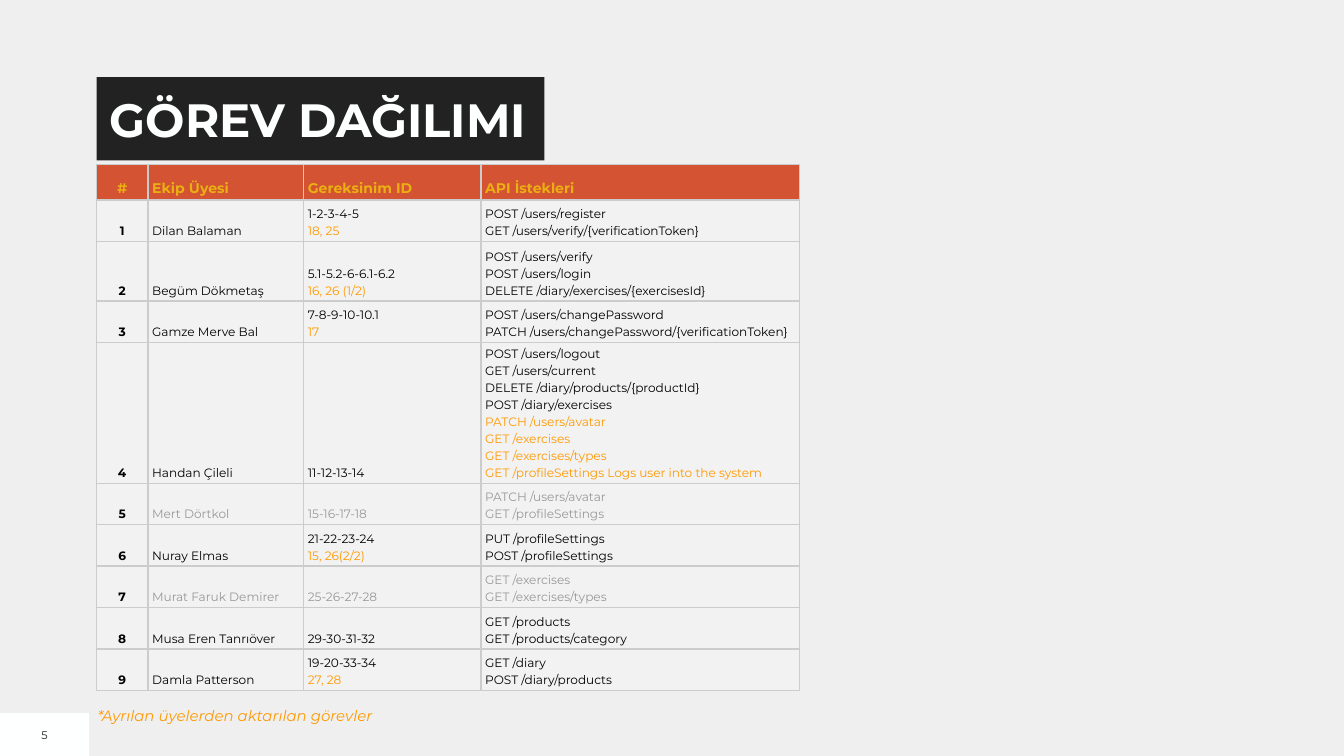
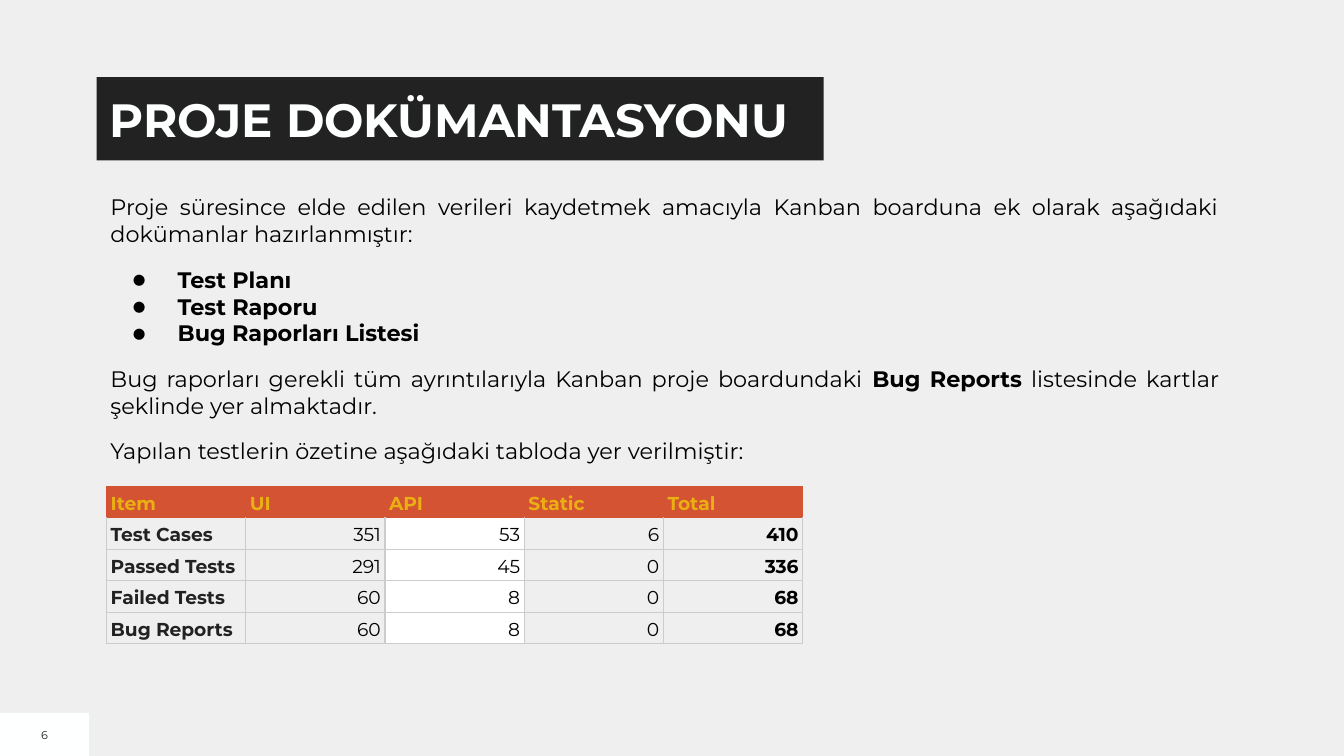
from lxml.etree import SubElement
from pptx import Presentation
from pptx.dml.color import RGBColor
from pptx.enum.shapes import MSO_SHAPE
from pptx.enum.text import MSO_ANCHOR, MSO_AUTO_SIZE, PP_ALIGN
from pptx.oxml.ns import qn
from pptx.util import Pt

FONT = "Montserrat"
PAGE = RGBColor(0xEF, 0xEF, 0xEF)
INK = RGBColor(0x22, 0x22, 0x22)
PAPER = RGBColor(0xFE, 0xFF, 0xFF)
WHITE = RGBColor(0xFF, 0xFF, 0xFF)
BLACK = RGBColor(0, 0, 0)
GRAY = RGBColor(0x99, 0x99, 0x99)
ORANGE = RGBColor(0xFF, 0x99, 0x00)
BRICK = RGBColor(0xD3, 0x53, 0x32)
GOLD = RGBColor(0xEA, 0xB0, 0x13)
CELL = RGBColor(0xF2, 0xF2, 0xF2)
GRID = RGBColor(0xCC, 0xCC, 0xCC)

TASK_HEADERS = ["#", "Ekip Üyesi", "Gereksinim ID", "API İstekleri"]
TASK_COLUMNS = [27.7, 83.4, 95, 170.6]
TASK_ROWS = [18.9, 22.2, 32, 22.2, 70.6] + [22.2] * 5
DEPARTED = {"Mert Dörtkol", "Murat Faruk Demirer"}
# name, own requirements, transferred requirements, own requests, transferred requests
TASKS = [
    ("Dilan Balaman", ["1-2-3-4-5"], ["18, 25"],
     ["POST /users/register", "GET /users/verify/{verificationToken}"], []),
    ("Begüm Dökmetaş", ["5.1-5.2-6-6.1-6.2"], ["16, 26 (1/2)"],
     ["POST /users/verify", "POST /users/login", "DELETE /diary/exercises/{exercisesId}"], []),
    ("Gamze Merve Bal", ["7-8-9-10-10.1"], ["17"],
     ["POST /users/changePassword", "PATCH /users/changePassword/{verificationToken}"], []),
    ("Handan Çileli", ["11-12-13-14"], [],
     ["POST /users/logout", "GET /users/current", "DELETE /diary/products/{productId}",
      "POST /diary/exercises"],
     ["PATCH /users/avatar", "GET /exercises", "GET /exercises/types",
      "GET /profileSettings Logs user into the system"]),
    ("Mert Dörtkol", ["15-16-17-18"], [], ["PATCH /users/avatar", "GET /profileSettings"], []),
    ("Nuray Elmas", ["21-22-23-24"], ["15, 26(2/2)"],
     ["PUT /profileSettings", "POST /profileSettings"], []),
    ("Murat Faruk Demirer", ["25-26-27-28"], [], ["GET /exercises", "GET /exercises/types"], []),
    ("Musa Eren Tanrıöver", ["29-30-31-32"], [], ["GET /products", "GET /products/category"], []),
    ("Damla Patterson", ["19-20-33-34"], ["27, 28"], ["GET /diary", "POST /diary/products"], []),
]
TASK_NOTE = "*Ayrılan üyelerden aktarılan görevler"

# bulleted, space before, space after, runs of (text, bold)
DOCUMENT_TEXT = [
    (False, 0, 0, [("Proje süresince elde edilen verileri kaydetmek amacıyla Kanban boarduna "
                    "ek olarak aşağıdaki dokümanlar hazırlanmıştır:", False)]),
    (True, 10, 0, [("Test Planı", True)]),
    (True, 0, 0, [("Test Raporu", True)]),
    (True, 0, 0, [("Bug Raporları Listesi", True)]),
    (False, 10, 0, [("Bug raporları gerekli tüm ayrıntılarıyla Kanban proje boardundaki ", False),
                    ("Bug Reports", True),
                    (" listesinde kartlar şeklinde yer almaktadır.", False)]),
    (False, 10, 10, [("Yapılan testlerin özetine aşağıdaki tabloda yer verilmiştir:", False)]),
]
RESULT_HEADERS = ["Item", "UI", "API", "Static", "Total"]
RESULTS = [
    ("Test Cases", 351, 53, 6, 410),
    ("Passed Tests", 291, 45, 0, 336),
    ("Failed Tests", 60, 8, 0, 68),
    ("Bug Reports", 60, 8, 0, 68),
]


def add_run(paragraph, text, size, color, bold=False, italic=False):
    """Append one formatted run."""
    run = paragraph.add_run()
    run.text = text
    run.font.name = FONT
    run.font.size = Pt(size)
    run.font.bold = bold
    run.font.italic = italic
    run.font.color.rgb = color


def place(shape, left, top, width, height):
    """Move and size a shape, in points."""
    shape.left, shape.top, shape.width, shape.height = map(Pt, (left, top, width, height))


def prepare_frame(shape, margin=7.2, anchor=MSO_ANCHOR.TOP):
    """Set wrapping, insets and anchor, and return the text frame."""
    frame = shape.text_frame
    frame.word_wrap = True
    frame.auto_size = MSO_AUTO_SIZE.NONE
    frame.vertical_anchor = anchor
    frame.margin_left = frame.margin_right = Pt(margin)
    frame.margin_top = frame.margin_bottom = Pt(margin)
    return frame


def set_bullet(paragraph, bulleted):
    """Give a paragraph a round bullet, or none."""
    properties = paragraph._p.get_or_add_pPr()
    properties.set("marL", str(Pt(36 if bulleted else 0)))
    properties.set("indent", str(Pt(-24 if bulleted else 0)))
    if not bulleted:
        SubElement(properties, qn("a:buNone"))
        return
    color = SubElement(properties, qn("a:buClr"))
    SubElement(color, qn("a:srgbClr")).set("val", str(BLACK))
    SubElement(properties, qn("a:buSzPct")).set("val", "65000")
    SubElement(properties, qn("a:buFont")).set("typeface", FONT)
    SubElement(properties, qn("a:buChar")).set("char", "●")


def start_slide(presentation, layout_index, title_text, title_width, number):
    """Add a slide with its title band and page number."""
    slide = presentation.slides.add_slide(presentation.slide_layouts[layout_index])
    corner = slide.shapes.add_shape(MSO_SHAPE.RECTANGLE, 0, Pt(382), Pt(47.6), Pt(23))
    corner.shadow.inherit = False
    corner.fill.solid()
    corner.fill.fore_color.rgb = PAPER
    corner.line.fill.background()
    paragraph = prepare_frame(corner, 3, MSO_ANCHOR.MIDDLE).paragraphs[0]
    paragraph.alignment = PP_ALIGN.CENTER
    add_run(paragraph, str(number), 6, INK)

    title = slide.shapes.title
    place(title, 51.7, 41.3, title_width, 44.7)
    title.fill.solid()
    title.fill.fore_color.rgb = INK
    paragraph = prepare_frame(title).paragraphs[0]
    paragraph.alignment = PP_ALIGN.LEFT
    add_run(paragraph, title_text, 25, PAPER, True)
    return slide


def add_grid(slide, left, top, widths, heights):
    """Add a table with the given column widths and row heights."""
    frame = slide.shapes.add_table(len(heights), len(widths), Pt(left), Pt(top),
                                   Pt(sum(widths)), Pt(sum(heights)))
    table = frame.table
    table.first_row = table.horz_banding = False
    for column, width in zip(table.columns, widths):
        column.width = Pt(width)
    for row, height in zip(table.rows, heights):
        row.height = Pt(height)
    return table


def fill_cell(cell, lines, size, bold=False, alignment=PP_ALIGN.LEFT, fill=None,
              border=GRID, top_border=None):
    """Write (text, color) lines into a cell and draw its borders and fill."""
    properties = cell._tc.get_or_add_tcPr()
    for side in ("lnL", "lnR", "lnT", "lnB"):
        color = top_border if side == "lnT" and top_border else border
        line = SubElement(properties, qn(f"a:{side}"))
        line.set("w", str(Pt(0.75)))
        solid = SubElement(line, qn("a:solidFill"))
        SubElement(solid, qn("a:srgbClr")).set("val", str(color))
    if fill:
        cell.fill.solid()
        cell.fill.fore_color.rgb = fill
    else:
        cell.fill.background()
    cell.vertical_anchor = MSO_ANCHOR.BOTTOM
    cell.margin_left = cell.margin_right = Pt(2.25)
    cell.margin_top = cell.margin_bottom = Pt(1.44)
    frame = cell.text_frame
    for index, (text, color) in enumerate(lines):
        paragraph = frame.add_paragraph() if index else frame.paragraphs[0]
        paragraph.alignment = alignment
        paragraph.line_spacing = 1.15
        add_run(paragraph, text, size, color, bold)


def build_tasks(presentation):
    """Build the slide that shares the work among the team."""
    slide = start_slide(presentation, 5, "GÖREV DAĞILIMI", 240, 5)
    note = slide.shapes.add_textbox(Pt(45.2), Pt(371.5), Pt(164), Pt(24.5))
    add_run(prepare_frame(note).paragraphs[0], TASK_NOTE, 8, ORANGE, italic=True)

    table = add_grid(slide, 51.6, 88.2, TASK_COLUMNS, TASK_ROWS)
    alignments = [PP_ALIGN.CENTER] + [PP_ALIGN.LEFT] * 3
    for column, header in enumerate(TASK_HEADERS):
        fill_cell(table.cell(0, column), [(header, GOLD)], 7.5, True, alignments[column], BRICK)
    for row, (name, own_ids, moved_ids, own_requests, moved_requests) in enumerate(TASKS, 1):
        color = GRAY if name in DEPARTED else BLACK
        cells = [
            [(str(row), BLACK)],
            [(name, color)],
            [(text, color) for text in own_ids] + [(text, ORANGE) for text in moved_ids],
            [(text, color) for text in own_requests] + [(text, ORANGE) for text in moved_requests],
        ]
        for column, lines in enumerate(cells):
            fill_cell(table.cell(row, column), lines, 6.5, column == 0, alignments[column], CELL)


def build_documents(presentation):
    """Build the slide on the documents and the test results."""
    slide = start_slide(presentation, 1, "PROJE DOKÜMANTASYONU", 389.5, 6)
    body = slide.placeholders[1]
    place(body, 52, 96.4, 608.4, 161.3)
    frame = prepare_frame(body)
    for index, (bulleted, before, after, runs) in enumerate(DOCUMENT_TEXT):
        paragraph = frame.add_paragraph() if index else frame.paragraphs[0]
        set_bullet(paragraph, bulleted)
        paragraph.alignment = PP_ALIGN.JUSTIFY
        paragraph.space_before = Pt(before)
        paragraph.space_after = Pt(after)
        for text, bold in runs:
            add_run(paragraph, text, 12, BLACK, bold)

    table = add_grid(slide, 57.1, 260.6, [74.6] * len(RESULT_HEADERS),
                     [16.85] * (len(RESULTS) + 1))
    for column, header in enumerate(RESULT_HEADERS):
        fill_cell(table.cell(0, column), [(header, GOLD)], 10, True, fill=BRICK, border=BRICK)
    for row, values in enumerate(RESULTS, 1):
        for column, value in enumerate(values):
            is_item = column == 0
            fill_cell(table.cell(row, column), [(str(value), INK if is_item else BLACK)], 10,
                      is_item or RESULT_HEADERS[column] == "Total",
                      PP_ALIGN.LEFT if is_item else PP_ALIGN.RIGHT,
                      WHITE if RESULT_HEADERS[column] == "API" else None,
                      top_border=BRICK if row == 1 else None)


def main():
    """Build and save the presentation."""
    presentation = Presentation()
    presentation.slide_width, presentation.slide_height = Pt(720), Pt(405)
    background = presentation.slide_master.background.fill
    background.solid()
    background.fore_color.rgb = PAGE
    build_tasks(presentation)
    build_documents(presentation)
    presentation.save("out.pptx")


if __name__ == "__main__":
    main()
